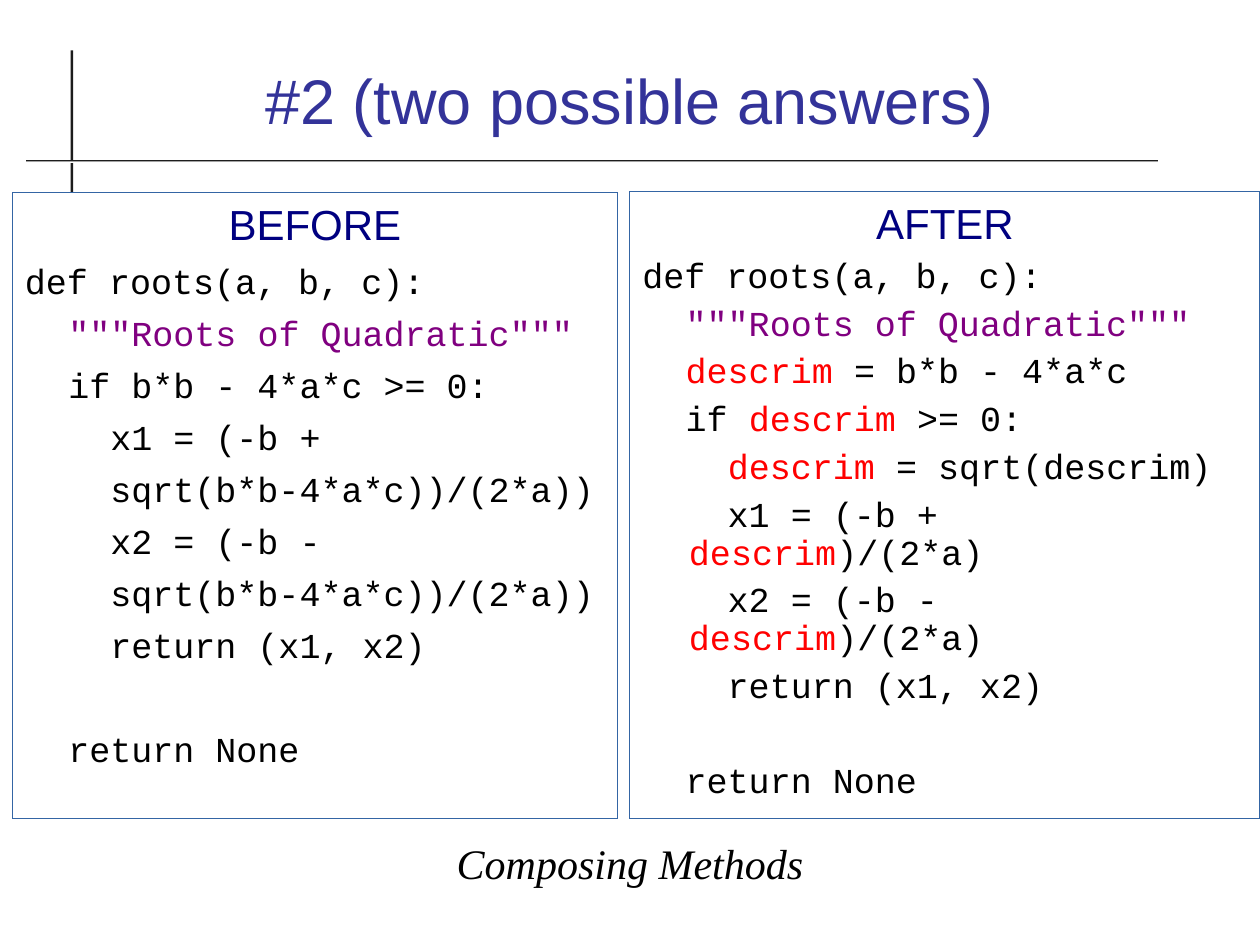
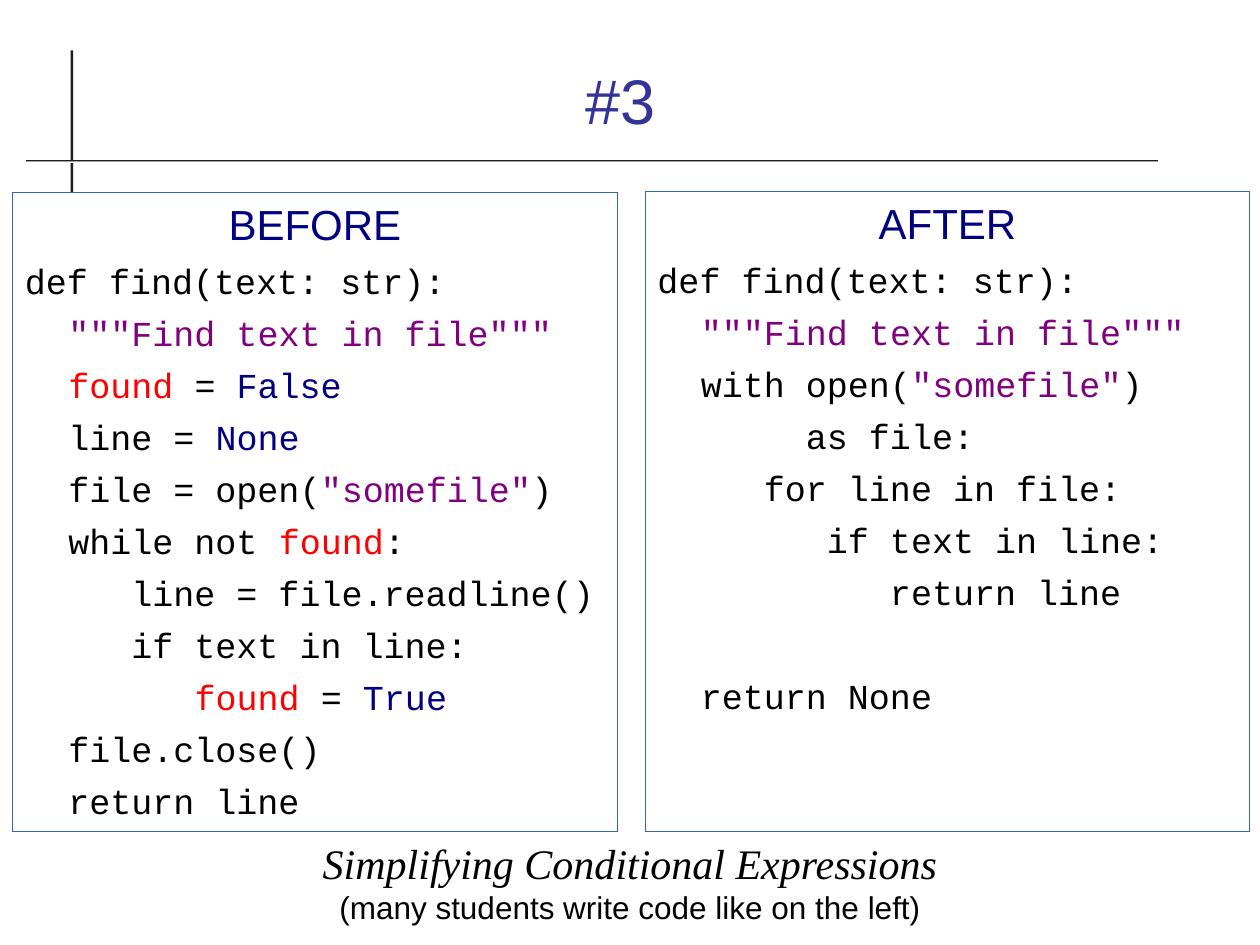
"""Build two refactoring slides that set code before and after side by side."""
from pptx import Presentation
from pptx.dml.color import RGBColor
from pptx.enum import shapes, text
from pptx.util import Inches, Pt

HUES = {"title": "333399", "navy": "000080", "black": "000000", "red": "FF0000",
        "purple": "800080", "edge": "3465A4", "rule": "1C1C1C", "white": "FFFFFF"}
WORDS = {"descrim": "red", "found": "red", "False": "navy", "None": "navy", "True": "navy"}
STYLES = {
    "title": {"size": Pt(36), "name": "Arial"},
    "head": {"size": Pt(24), "name": "Arial"},
    "code": {"size": Pt(20), "name": "Courier New"},
    "topic": {"size": Pt(24), "name": "Times New Roman", "italic": True},
    "note": {"size": Pt(18), "name": "Arial"},
}
GAP = 5.7

ROOTS = ['def roots(a, b, c):',
         '  |"""Roots of Quadratic"""',
         '  if b*b - 4*a*c >= 0:',
         '    x1 = (-b +',
         '    sqrt(b*b-4*a*c))/(2*a))',
         '    x2 = (-b -',
         '    sqrt(b*b-4*a*c))/(2*a))',
         '    return (x1, x2)',
         '',
         '  return None']
DESCRIM = ROOTS[:2] + [
    '  |descrim| = b*b - 4*a*c',
    '  if |descrim| >= 0:',
    '    |descrim| = sqrt(descrim)',
    '    x1 = (-b + |descrim|)/(2*a)',
    '    x2 = (-b - |descrim|)/(2*a)'] + ROOTS[-3:]
LOOP = ['def find(text: str):',
        '  |"""Find text in file"""',
        '  |found| = |False',
        '  line = |None',
        '  file = open(|"somefile"|)',
        '  while not |found|:',
        '     line = file.readline()',
        '     if text in line:',
        '        |found| = |True',
        '  file.close()',
        '  return line']
WITH = LOOP[:2] + [
    '  with open(|"somefile"|)',
    '       as file:',
    '     for line in file:',
    '        if text in line:',
    '           return line',
    '',
    '  return None']


def rgb(hue):
    return RGBColor.from_string(HUES[hue])


def put(obj, items):
    for key, value in items.items():
        setattr(obj, key, value)


def tint(part):
    return "purple" if part.startswith('"') else WORDS.get(part, "black")


def add_run(para, words, style, hue):
    run = para.add_run()
    run.text = words
    put(run.font, STYLES[style])
    run.font.color.rgb = rgb(hue)


def add_box(slide, area, anchor=text.MSO_ANCHOR.TOP):
    box = slide.shapes.add_textbox(*map(Inches, area))
    put(box.text_frame, {"word_wrap": True, "vertical_anchor": anchor})
    box.text_frame.paragraphs[0].alignment = text.PP_ALIGN.CENTER
    return box


def add_bar(slide, area):
    bar = slide.shapes.add_shape(shapes.MSO_SHAPE.RECTANGLE, *map(Inches, area))
    bar.shadow.inherit = False
    bar.line.fill.background()
    bar.fill.solid()
    bar.fill.fore_color.rgb = rgb("rule")
    return bar


def add_frame(slide, title):
    add_bar(slide, (0.56, 0.4, 0.02, 1.13))
    rule = add_bar(slide, (0.21, 1.27, 8.98, 0.02))
    rule.fill.gradient()
    rule.fill.gradient_angle = 90
    for stop, hue in zip(rule.fill.gradient_stops, ("white", "rule")):
        stop.color.rgb = rgb(hue)
    box = add_box(slide, (0.33, 0.25, 9.33, 1.08), text.MSO_ANCHOR.MIDDLE)
    add_run(box.text_frame.paragraphs[0], title, "title", "title")


def add_pane(slide, area, head, code, pitch=1.0):
    box = add_box(slide, area)
    box.line.color.rgb = rgb("edge")
    box.line.width = Pt(0)
    frame = box.text_frame
    add_run(frame.paragraphs[0], head, "head", "navy")
    space = GAP
    for row, line in enumerate(code):
        if not line:
            space += GAP + 24 * pitch
            continue
        para = frame.add_paragraph()
        put(para, {"space_before": Pt(space), "line_spacing": pitch})
        space = GAP
        if row:
            props = para._p.get_or_add_pPr()
            props.set("marL", str(Inches(0.37)))
            props.set("indent", str(Inches(-0.36)))
        for part in line.split("|"):
            add_run(para, part, "code", tint(part))


def add_foot(slide, topic, note=None):
    box = add_box(slide, (1.1, 6.6, 7.8, 0.8 if note else 0.5))
    para = box.text_frame.paragraphs[0]
    add_run(para, topic, "topic", "black")
    if note:
        para.add_line_break()
        add_run(para, note, "note", "black")


def main():
    deck = Presentation()
    put(deck, {"slide_width": Inches(10), "slide_height": Inches(7.5)})
    first, second = (deck.slides.add_slide(deck.slide_layouts[6]) for _ in range(2))

    add_frame(first, "#2 (two possible answers)")
    add_pane(first, (0.1, 1.53, 4.8, 4.97), "BEFORE", ROOTS)
    add_pane(first, (5, 1.52, 5, 4.98), "AFTER", DESCRIM, 0.9)
    add_foot(first, "Composing Methods")

    add_frame(second, "#3 ")
    add_pane(second, (0.1, 1.53, 4.8, 5.07), "BEFORE", LOOP)
    add_pane(second, (5.12, 1.52, 4.8, 5.08), "AFTER", WITH)
    add_foot(second, "Simplifying Conditional Expressions",
             "(many students write code like on the left)")
    deck.save("out.pptx")


if __name__ == "__main__":
    main()
